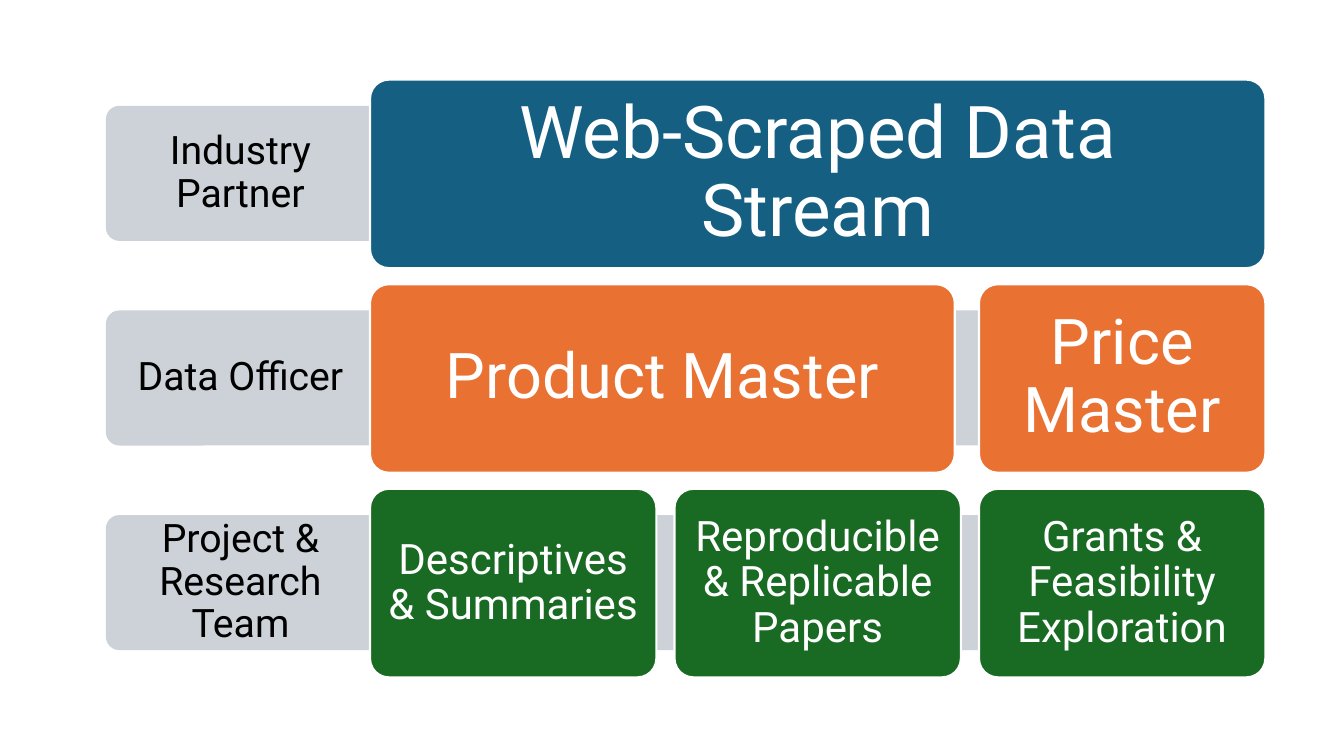
"""Build a slide of three team bands with the data products each one delivers."""
from pptx import Presentation
from pptx.dml.color import RGBColor
from pptx.enum.shapes import MSO_SHAPE
from pptx.enum.text import MSO_ANCHOR, PP_ALIGN
from pptx.util import Inches, Pt

FONT = "Roboto"
BAND_COLOR, WHITE, BLACK = "CCD2D8", "FFFFFF", "000000"
ROWS = [
    {"team": "Industry Partner", "color": "156082", "size": 52,
     "cards": [("Web-Scraped Data Stream", 8.88)]},
    {"team": "Data Officer", "color": "E97132", "size": 45,
     "cards": [("Product Master", 5.8), ("Price Master", 2.84)]},
    {"team": "Project & Research Team", "color": "196B24", "size": 30,
     "cards": [("Descriptives & Summaries", 2.84),
               ("Reproducible & Replicable Papers", 2.84),
               ("Grants & Feasibility Exploration", 2.84)]},
]
BAND_LEFT, BAND_TOP, BAND_WIDTH, BAND_HEIGHT = 1.05, 1.05, 8.89, 1.34
LABEL_WIDTH, LABEL_SIZE, LABEL_INSET = 2.67, 28, Inches(0.22)
CARD_LEFT, CARD_TOP, CARDS_WIDTH, CARD_HEIGHT = 3.67, 0.79, 8.88, 1.87
ROW_PITCH = 2.03
CARD_INSET_RATIO = 0.3


def color(hex_string):
    return RGBColor.from_string(hex_string)


def add_rounded(slide, left, top, width, height, fill):
    shape = slide.shapes.add_shape(MSO_SHAPE.ROUNDED_RECTANGLE, Inches(left),
                                   Inches(top), Inches(width), Inches(height))
    shape.adjustments[0] = 0.1
    shape.shadow.inherit = False
    shape.fill.solid()
    shape.fill.fore_color.rgb = color(fill)
    shape.line.fill.background()
    return shape


def write(shape, text, size, text_color, inset):
    frame = shape.text_frame
    frame.word_wrap = True
    frame.vertical_anchor = MSO_ANCHOR.MIDDLE
    frame.margin_left = frame.margin_right = inset
    frame.margin_top = frame.margin_bottom = inset
    paragraph = frame.paragraphs[0]
    paragraph.alignment = PP_ALIGN.CENTER
    paragraph.line_spacing = 0.9
    run = paragraph.add_run()
    run.text = text
    run.font.name = FONT
    run.font.size = Pt(size)
    run.font.color.rgb = color(text_color)


def add_band(slide, row, offset):
    top = BAND_TOP + offset
    add_rounded(slide, BAND_LEFT, top, BAND_WIDTH, BAND_HEIGHT, BAND_COLOR)
    label = slide.shapes.add_textbox(Inches(BAND_LEFT), Inches(top),
                                     Inches(LABEL_WIDTH), Inches(BAND_HEIGHT))
    write(label, row["team"], LABEL_SIZE, BLACK, LABEL_INSET)


def add_cards(slide, row, offset):
    cards = row["cards"]
    free_width = CARDS_WIDTH - sum(width for _, width in cards)
    gap = free_width / max(len(cards) - 1, 1)
    left = CARD_LEFT
    for text, width in cards:
        card = add_rounded(slide, left, CARD_TOP + offset, width, CARD_HEIGHT, row["color"])
        card.line.color.rgb = color(WHITE)
        card.line.width = Pt(1.5)
        write(card, text, row["size"], WHITE, Pt(row["size"] * CARD_INSET_RATIO))
        left += width + gap


def main():
    presentation = Presentation()
    presentation.slide_width = Inches(13.33)
    presentation.slide_height = Inches(7.5)
    slide = presentation.slides.add_slide(presentation.slide_layouts[6])
    for index, row in enumerate(ROWS):
        add_band(slide, row, index * ROW_PITCH)
        add_cards(slide, row, index * ROW_PITCH)
    presentation.save("out.pptx")


if __name__ == "__main__":
    main()
